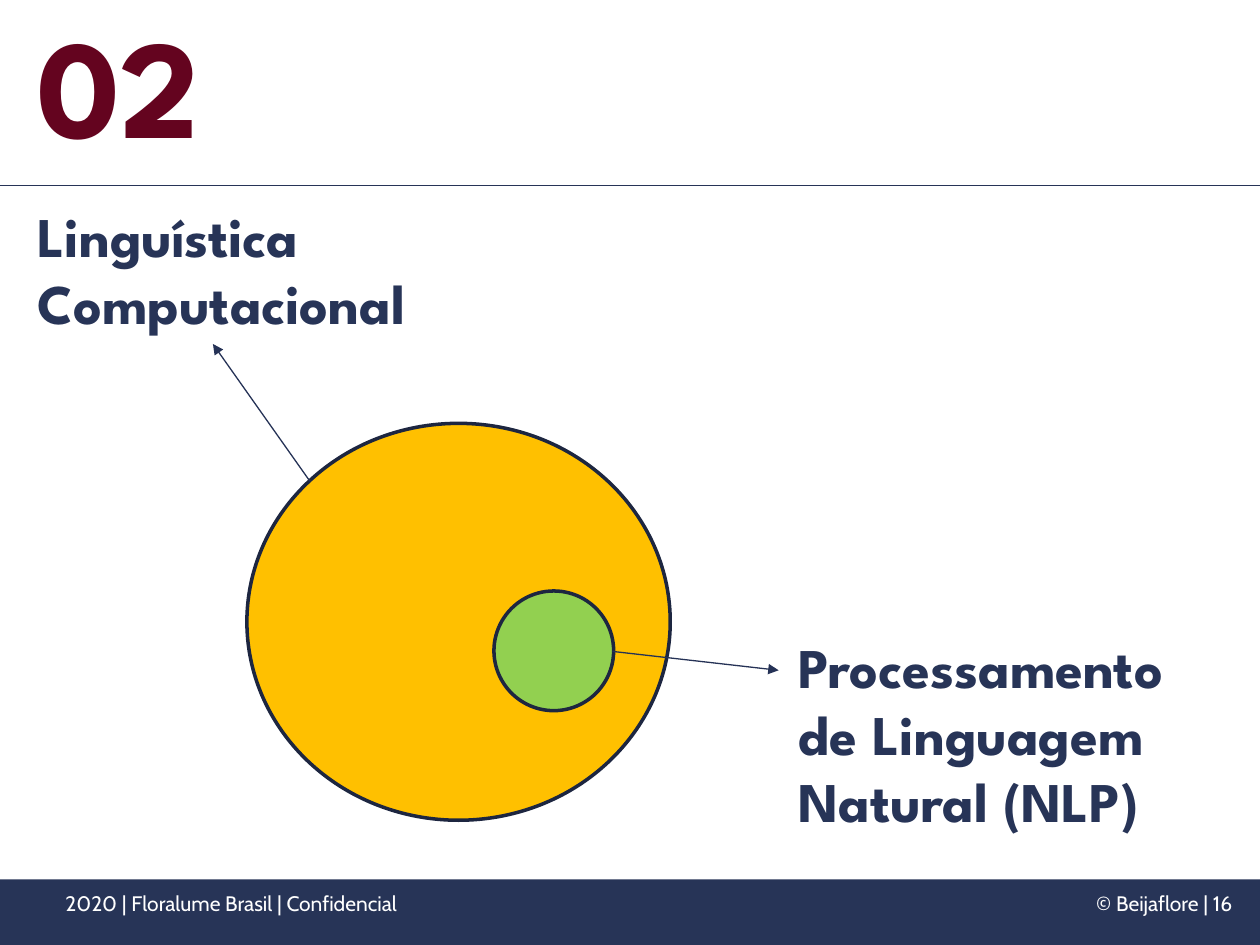
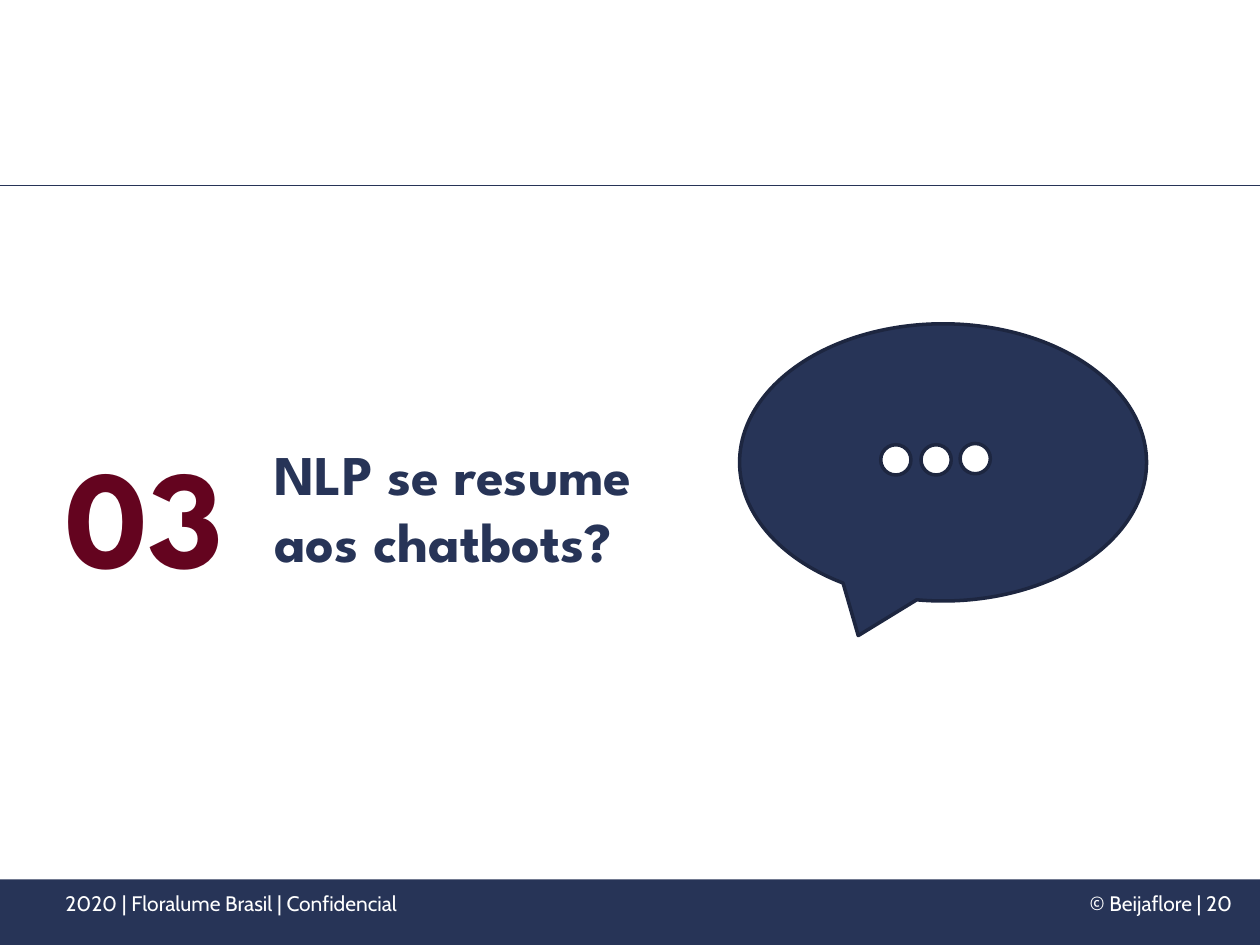
from lxml import etree
from pptx import Presentation
from pptx.dml.color import RGBColor
from pptx.enum.shapes import MSO_CONNECTOR, MSO_SHAPE
from pptx.enum.text import MSO_ANCHOR, PP_ALIGN
from pptx.oxml.ns import qn
from pptx.util import Inches, Pt

LEFT, RIGHT = PP_ALIGN.LEFT, PP_ALIGN.RIGHT
TOP, BOTTOM = MSO_ANCHOR.TOP, MSO_ANCHOR.BOTTOM
RECT, OVAL = MSO_SHAPE.RECTANGLE, MSO_SHAPE.OVAL
CALLOUT = MSO_SHAPE.OVAL_CALLOUT
STRAIGHT = MSO_CONNECTOR.STRAIGHT

NAVY, ARROW_NAVY, OUTLINE = "273457", "253256", "1D2640"
WINE, AMBER, GREEN, WHITE = "64041F", "FFC000", "92D050", "FFFFFF"
color = RGBColor.from_string

# Text styles: font, size, bold, colour, anchor, top inset
HEADING = ("League Spartan", 32, True, NAVY, TOP, 0.05)
NUMBER = ("League Spartan", 80, True, WINE, BOTTOM, 0.08)
FOOTER = ("Cabin", 12, False, WHITE, TOP, 0.12)


def add_text(slide, box, lines, style, align=LEFT):
    font_name, size, bold, ink, anchor, top_inset = style
    frame = slide.shapes.add_textbox(*map(Inches, box)).text_frame
    frame.word_wrap = True
    frame.vertical_anchor = anchor
    frame.margin_top = Inches(top_inset)
    for i, line in enumerate(lines):
        paragraph = frame.add_paragraph() if i else frame.paragraphs[0]
        paragraph.alignment = align
        run = paragraph.add_run()
        run.text = line
        run.font.name = font_name
        run.font.size = Pt(size)
        run.font.bold = bold
        run.font.color.rgb = color(ink)


def add_figure(slide, preset, box, fill, outline=OUTLINE):
    figure = slide.shapes.add_shape(preset, *map(Inches, box))
    figure.shadow.inherit = False
    figure.fill.solid()
    figure.fill.fore_color.rgb = color(fill)
    if outline:
        figure.line.color.rgb = color(outline)
        figure.line.width = Pt(2)
    else:
        figure.line.fill.background()


prs = Presentation()
prs.slide_width, prs.slide_height = Inches(10), Inches(7.5)
blank = prs.slide_layouts[6]
linguistics = prs.slides.add_slide(blank)
chatbots = prs.slides.add_slide(blank)

# Footer shared by both slides
for slide, page in ((linguistics, 16), (chatbots, 20)):
    add_figure(slide, RECT, (0, 6.98, 10, 0.52), NAVY, None)
    add_text(slide, (7.55, 6.95, 2.33, 0.4), [f"© Beijaflore | {page}"], FOOTER, RIGHT)
    add_text(slide, (0.42, 6.95, 4.65, 0.4),
             ["2020 | Floralume Brasil | Confidencial"], FOOTER)

# Section 02: NLP as a part of computational linguistics
add_text(linguistics, (0.2, -0.11, 1.94, 1.48), ["02"], NUMBER)
add_text(linguistics, (0.2, 1.55, 3.63, 1.18), ["Linguística", "Computacional"], HEADING)
add_figure(linguistics, OVAL, (1.96, 3.36, 3.36, 3.15), AMBER)
add_figure(linguistics, OVAL, (3.92, 4.69, 0.95, 0.95), GREEN)
add_text(linguistics, (6.24, 4.97, 3.63, 1.72),
         ["Processamento", "de Linguagem", "Natural (NLP)"], HEADING)

# Section 03: question and speech balloon with three dots
add_text(chatbots, (0.42, 3.3, 1.94, 1.48), ["03"], NUMBER)
add_text(chatbots, (2.08, 3.44, 3.4, 1.18), ["NLP se resume aos chatbots?"], HEADING)
add_figure(chatbots, CALLOUT, (5.87, 2.57, 3.23, 2.2), NAVY)
for dot_left, dot_top in ((6.99, 3.53), (7.31, 3.53), (7.62, 3.52)):
    add_figure(chatbots, OVAL, (dot_left, dot_top, 0.24, 0.24), WHITE)

# Header rules, and arrows from each circle to its label
HEADER_RULE = (0, 1.47, 10, 1.47)
for slide, ends, ink, has_arrow in (
    (linguistics, HEADER_RULE, NAVY, False),
    (chatbots, HEADER_RULE, NAVY, False),
    (linguistics, (4.86, 5.17, 6.18, 5.32), ARROW_NAVY, True),
    (linguistics, (2.46, 3.82, 1.69, 2.73), ARROW_NAVY, True),
):
    rule = slide.shapes.add_connector(STRAIGHT, *map(Inches, ends))
    rule.line.color.rgb = color(ink)
    rule.line.width = Pt(0.75)
    properties = rule.line._get_or_add_ln().getparent()
    if has_arrow:
        etree.SubElement(properties.find(qn("a:ln")), qn("a:tailEnd"), type="triangle")
    etree.SubElement(properties, qn("a:effectLst"))

prs.save("out.pptx")
